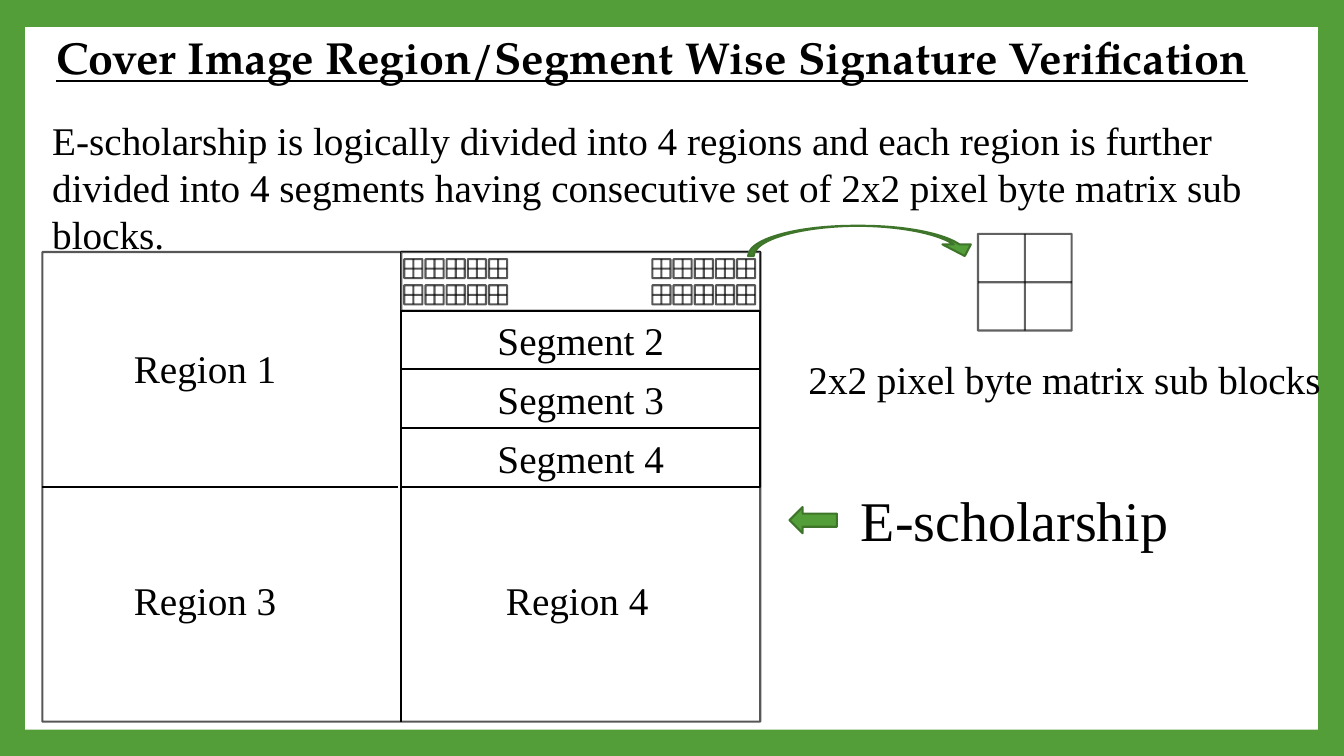
from dataclasses import dataclass
from lxml import etree
from pptx import Presentation, util as u
from pptx.dml.color import RGBColor
from pptx.enum import shapes, text
from pptx.oxml.ns import qn


@dataclass(frozen=True)
class Theme:
    green: str = "549E39"
    dark_green: str = "3E752A"
    white: str = "FFFFFF"
    black: str = "000000"
    title_font: str = "TeX Gyre Pagella"
    body_font: str = "Times New Roman"
    title: int = 32
    body: int = 28
    label: int = 40
    line: float = 1.5


class Deck:
    def __init__(self, prs, theme):
        self.theme = theme
        self.s = prs.slides.add_slide(prs.slide_layouts[5])
        fill = self.s.background.fill
        fill.solid()
        fill.fore_color.rgb = RGBColor.from_string(theme.green)

    def group(self):
        return self.s.shapes.add_group_shape().shapes

    def outline(self, line, color, alpha):
        line.width = u.Pt(self.theme.line)
        line.fill.solid()
        line.color.rgb = RGBColor.from_string(color)
        if alpha < 100:
            ln = line._get_or_add_ln()
            clr = ln.find(qn("a:solidFill"))[0]
            etree.SubElement(clr, qn("a:alpha")).set("val", str(alpha * 1000))

    def add_text(self, tf, words, size, font=None, align=None):
        tf.word_wrap = True
        p = tf.paragraphs[0]
        p.alignment = align
        r = p.add_run()
        r.text = words
        r.font.size = u.Pt(size)
        r.font.name = font or self.theme.body_font
        r.font.color.rgb = RGBColor.from_string(self.theme.black)
        return r

    def title(self, words, x, y, w, h):
        sp = self.s.shapes.title
        sp.left, sp.top, sp.width, sp.height = map(u.Inches, (x, y, w, h))
        tf = sp.text_frame
        tf.auto_size = text.MSO_AUTO_SIZE.NONE
        tf.vertical_anchor = text.MSO_ANCHOR.TOP
        r = self.add_text(tf, words, self.theme.title, self.theme.title_font,
                          text.PP_ALIGN.CENTER)
        r.font.bold = r.font.underline = True
        self.s.shapes._spTree.append(sp._element)

    def text(self, words, x, y, w, h, size=None):
        sp = self.s.shapes.add_textbox(*map(u.Inches, (x, y, w, h)))
        self.add_text(sp.text_frame, words, size or self.theme.body)

    def shape(self, x, y, w, h, kind=shapes.MSO_SHAPE.RECTANGLE, fill=None,
              line=None, alpha=100, parent=None):
        sp = (parent or self.s.shapes).add_shape(
            kind, *map(u.Inches, (x, y, w, h)))
        sp.shadow.inherit = False
        sp.fill.solid()
        sp.fill.fore_color.rgb = RGBColor.from_string(fill or self.theme.white)
        if line:
            self.outline(sp.line, line, alpha)
        else:
            sp.line.fill.background()
        return sp

    def arrow(self, kind, x, y, w, h):
        return self.shape(x, y, w, h, kind, self.theme.green,
                          self.theme.dark_green)

    def segment(self, words, x, y, w, h):
        sp = self.shape(x, y, w, h, line=self.theme.black)
        sp.text_frame.vertical_anchor = text.MSO_ANCHOR.MIDDLE
        self.add_text(sp.text_frame, words, self.theme.body,
                      align=text.PP_ALIGN.CENTER)

    def line(self, x1, y1, x2, y2, alpha=100, parent=None):
        c = (parent or self.s.shapes).add_connector(
            shapes.MSO_CONNECTOR.STRAIGHT, *map(u.Inches, (x1, y1, x2, y2)))
        self.outline(c.line, self.theme.black, alpha)
        etree.SubElement(c._element.spPr, qn("a:effectLst"))

    def block(self, parent, x, y, w, h, alpha):
        self.shape(x, y, w, h, line=self.theme.black, alpha=alpha,
                   parent=parent)
        self.line(x + w / 2, y, x + w / 2, y + h, alpha, parent)
        self.line(x, y + h / 2, x + w, y + h / 2, alpha, parent)


def main():
    prs = Presentation()
    prs.slide_width, prs.slide_height = u.Inches(13.33), u.Inches(7.5)
    theme = Theme()
    d = Deck(prs, theme)

    d.shape(0.25, 0.27, 12.82, 6.97)
    d.text("E-scholarship is logically divided into 4 regions and each region "
           "is further divided into 4 segments having consecutive set of 2x2 "
           "pixel byte matrix sub blocks.", 0.42, 1.1, 12.53, 1.51)

    d.block(d.group(), 9.7, 2.32, 0.93, 0.96, 62)
    d.text("2x2 pixel byte matrix sub blocks", 7.92, 3.48, 5.41, 0.57)

    left, top, region_w, region_h = 0.42, 2.5, 3.56, 2.33
    mid_x, mid_y = left + region_w, top + region_h
    segment_h = region_h / 4
    cover = d.group()
    for x, y, w, h in ((left, top, 2 * region_w, 2 * region_h),
                       (mid_x, top, region_w, region_h),
                       (mid_x, top, region_w, segment_h)):
        d.shape(x, y, w, h, line=theme.black, alpha=66, parent=cover)
    for start in (4.01, 6.47):
        for col in range(5):
            for y in (2.57, 2.83):
                d.block(cover, start + 0.21 * col, y, 0.18, 0.19, 66)

    d.text("E-scholarship", 8.44, 4.77, 4.85, 0.77, theme.label)
    d.arrow(shapes.MSO_SHAPE.RIGHT_ARROW, 7.83, 5.03, 0.47, 0.26).rotation = 180

    d.line(mid_x, mid_y, mid_x, top + 2 * region_h)
    d.line(mid_x - 0.03, mid_y, left, mid_y)
    for n in (2, 3, 4):
        d.segment(f"Segment {n}", mid_x, top + (n - 1) * segment_h,
                  region_w, segment_h)

    curve = d.arrow(shapes.MSO_SHAPE.CURVED_DOWN_ARROW, 7.42, 2.24, 2.29, 0.3)
    for i, value in enumerate((0.185, 0.94, 0.384)):
        curve.adjustments[i] = value

    for n, x, y in ((1, 1.23, 3.37), (3, 1.23, 5.67), (4, 4.92, 5.67)):
        d.text(f"Region {n}", x, y, 1.76, 0.57)
    d.title("Cover Image Region/Segment Wise Signature Verification",
            -0.2, 0.24, 13.34, 0.64)

    prs.save("out.pptx")


if __name__ == "__main__":
    main()
